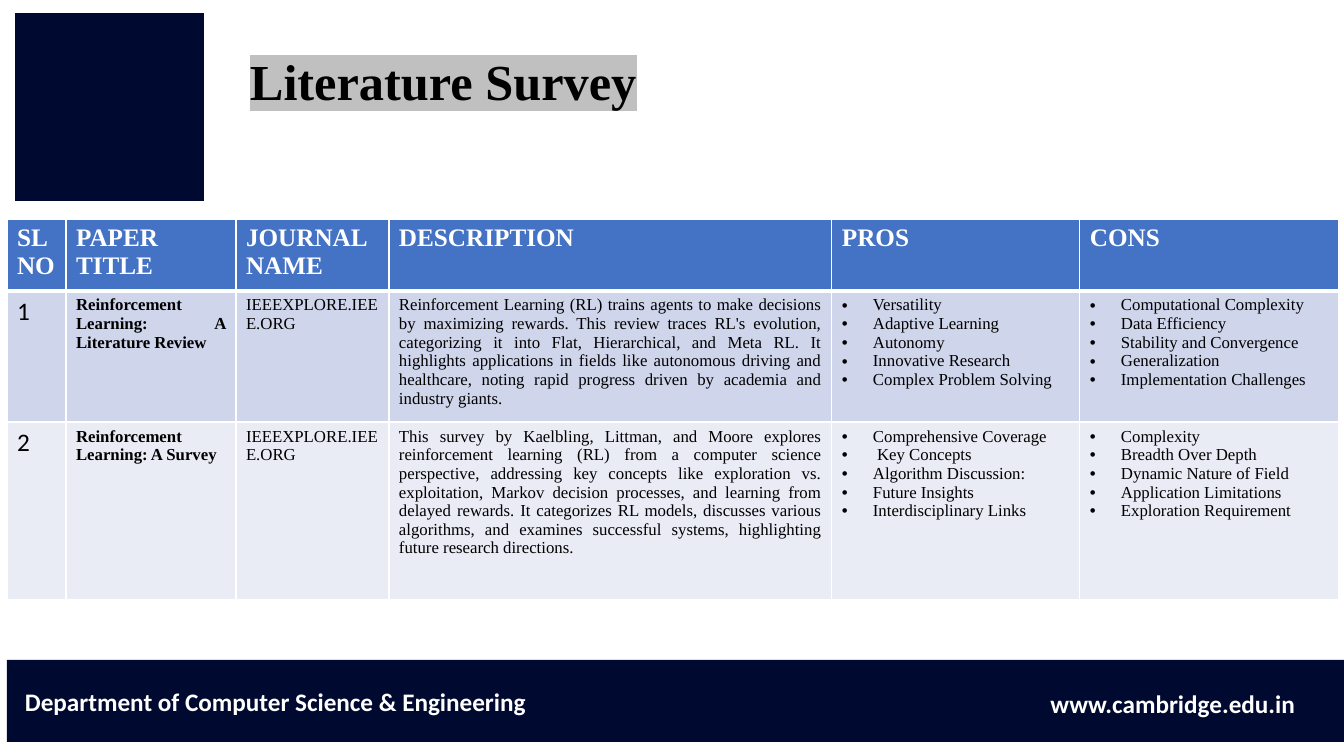
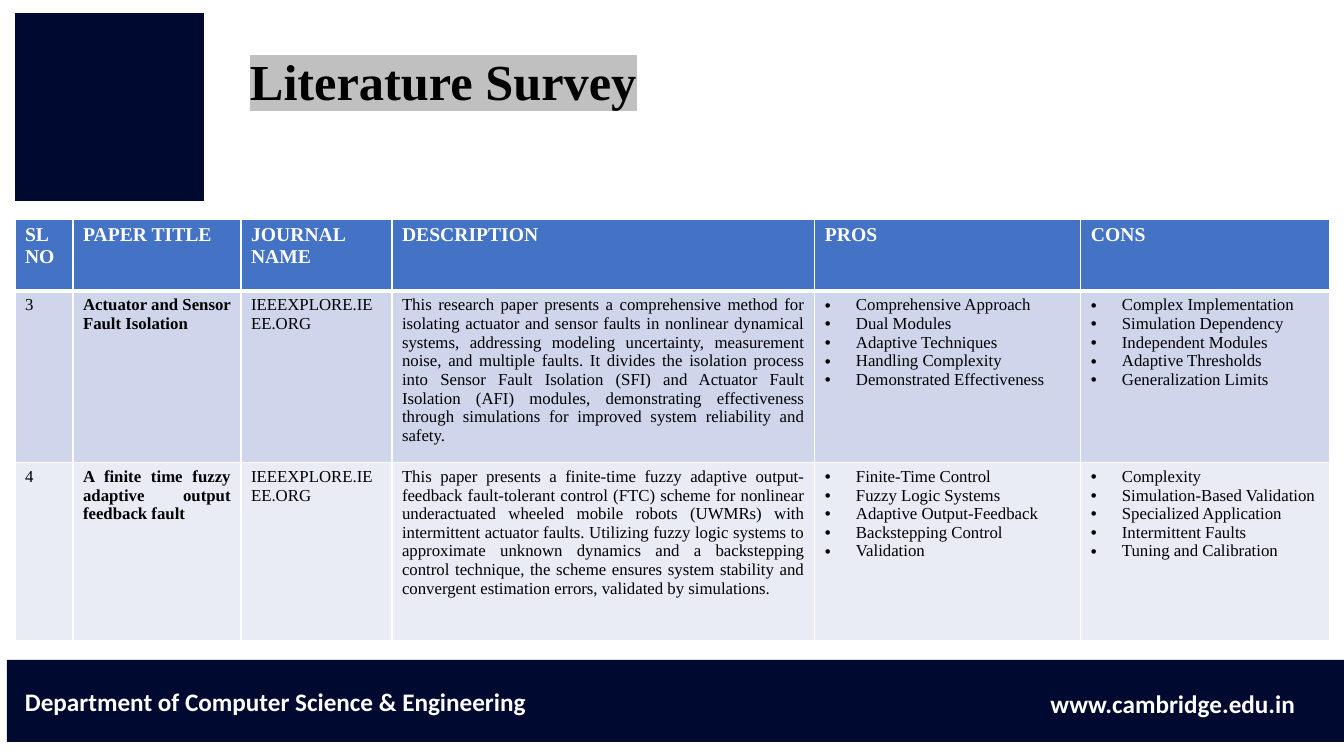
import pptx
import pptx.dml.color
import pptx.enum.shapes
import pptx.enum.text
import pptx.oxml
import pptx.oxml.ns
import pptx.util

RGBColor = pptx.dml.color.RGBColor
ALIGN = pptx.enum.text.PP_ALIGN

NAVY = RGBColor(0x00, 0x0A, 0x30)
BLUE = RGBColor(0x44, 0x72, 0xC4)
WHITE = RGBColor(0xFF, 0xFF, 0xFF)
BLACK = RGBColor(0x00, 0x00, 0x00)
SILVER = RGBColor(0xC0, 0xC0, 0xC0)
ROW_FILLS = [RGBColor(0xCF, 0xD5, 0xEA), RGBColor(0xE9, 0xEB, 0xF5)]

SERIF = "Times New Roman"
SANS = "Calibri"
BODY_SIZE = 12
BULLET_INDENT = 31
TABLE_TOP = 219
HEADERS = ["SL NO", "PAPER TITLE", "JOURNAL NAME", "DESCRIPTION", "PROS", "CONS"]
JOURNAL = "IEEEXPLORE.IEEE.ORG"

SURVEYS = [
    {
        "left": 7,
        "columns": [59, 170, 153, 443, 248, 259],
        "rows": [72, 131, 178],
        "header_size": 18,
        "number_font": (SANS, 18),
        "papers": [
            ("1", "Reinforcement Learning: A Literature Review",
             "Reinforcement Learning (RL) trains agents to make decisions by maximizing rewards. "
             "This review traces RL's evolution, categorizing it into Flat, Hierarchical, and Meta "
             "RL. It highlights applications in fields like autonomous driving and healthcare, "
             "noting rapid progress driven by academia and industry giants.",
             ["Versatility", "Adaptive Learning", "Autonomy", "Innovative Research",
              "Complex Problem Solving"],
             ["Computational Complexity", "Data Efficiency", "Stability and Convergence",
              "Generalization", "Implementation Challenges"]),
            ("2", "Reinforcement Learning: A Survey",
             "This survey by Kaelbling, Littman, and Moore explores reinforcement learning (RL) "
             "from a computer science perspective, addressing key concepts like exploration vs. "
             "exploitation, Markov decision processes, and learning from delayed rewards. It "
             "categorizes RL models, discusses various algorithms, and examines successful "
             "systems, highlighting future research directions.",
             ["Comprehensive Coverage", " Key Concepts", "Algorithm Discussion:",
              "Future Insights", "Interdisciplinary Links"],
             ["Complexity", "Breadth Over Depth", "Dynamic Nature of Field",
              "Application Limitations", "Exploration Requirement"]),
        ],
    },
    {
        "left": 15,
        "columns": [58, 168, 151, 423, 266, 249],
        "rows": [72, 171, 178],
        "header_size": 14,
        "number_font": (SERIF, BODY_SIZE),
        "papers": [
            ("3", "Actuator and Sensor Fault Isolation",
             "This research paper presents a comprehensive method for isolating actuator and "
             "sensor faults in nonlinear dynamical systems, addressing modeling uncertainty, "
             "measurement noise, and multiple faults. It divides the isolation process into "
             "Sensor Fault Isolation (SFI) and Actuator Fault Isolation (AFI) modules, "
             "demonstrating effectiveness through simulations for improved system reliability "
             "and safety.",
             ["Comprehensive Approach", "Dual Modules", "Adaptive Techniques",
              "Handling Complexity", "Demonstrated Effectiveness"],
             ["Complex Implementation", "Simulation Dependency", "Independent Modules",
              "Adaptive Thresholds", "Generalization Limits"]),
            ("4", "A finite time fuzzy adaptive output feedback fault",
             "This paper presents a finite-time fuzzy adaptive output-feedback fault-tolerant "
             "control (FTC) scheme for nonlinear underactuated wheeled mobile robots (UWMRs) "
             "with intermittent actuator faults. Utilizing fuzzy logic systems to approximate "
             "unknown dynamics and a backstepping control technique, the scheme ensures system "
             "stability and convergent estimation errors, validated by simulations.",
             ["Finite-Time Control", "Fuzzy Logic Systems", "Adaptive Output-Feedback",
              "Backstepping Control", "Validation"],
             ["Complexity", "Simulation-Based Validation", "Specialized Application",
              "Intermittent Faults", "Tuning and Calibration"]),
        ],
    },
]


def px(length):
    return pptx.util.Emu(round(length * 914400 / 100.8))


def set_font(font, name, size, color, bold=False):
    font.name = name
    font.size = pptx.util.Pt(size)
    font.bold = bold
    font.color.rgb = color


def add_xml(parent, xml):
    element = pptx.oxml.parse_xml(xml.replace(" ", f" {pptx.oxml.ns.nsdecls('a')} ", 1))
    parent.append(element)
    return element


def add_band(slide, left, top, width, height):
    band = slide.shapes.add_shape(pptx.enum.shapes.MSO_SHAPE.RECTANGLE,
                                  px(left), px(top), px(width), px(height))
    band.shadow.inherit = False
    band.fill.solid()
    band.fill.fore_color.rgb = NAVY
    band.line.fill.background()


def add_text(slide, text, left, top, width, height, align=ALIGN.LEFT):
    box = slide.shapes.add_textbox(px(left), px(top), px(width), px(height))
    frame = box.text_frame
    frame.word_wrap = True
    frame.auto_size = pptx.enum.text.MSO_AUTO_SIZE.SHAPE_TO_FIT_TEXT
    paragraph = frame.paragraphs[0]
    paragraph.text = text
    paragraph.alignment = align
    return paragraph


def add_title(slide, text):
    paragraph = add_text(slide, text, 240, 45, 672, 72)
    run = paragraph.runs[0]
    set_font(run.font, SERIF, 36, BLACK, bold=True)
    properties = run.font.fill._xPr
    highlight = add_xml(properties, f'<a:highlight ><a:srgbClr val="{SILVER}"/></a:highlight>')
    # The highlight belongs right after the text fill
    properties.find(pptx.oxml.ns.qn("a:solidFill")).addnext(highlight)


def add_frame(slide):
    # Emblem block and footer band
    add_band(slide, 15, 13, 189, 188)
    add_band(slide, 7, 660, 1337, 82)
    for text, left, top, width, align in [
        ("Department of Computer Science & Engineering", 15, 681, 533, ALIGN.LEFT),
        ("www.cambridge.edu.in", 1024, 683, 281, ALIGN.RIGHT),
    ]:
        paragraph = add_text(slide, text, left, top, width, 40, align)
        set_font(paragraph.font, SANS, 18, WHITE, bold=True)


def style_cell(cell, fill, top=1, bottom=1):
    properties = cell._tc.get_or_add_tcPr()
    for side, points in [("L", 1), ("R", 1), ("T", top), ("B", bottom)]:
        add_xml(properties, f'<a:ln{side} w="{points * 12700}"><a:solidFill>'
                            f'<a:srgbClr val="{WHITE}"/></a:solidFill></a:ln{side}>')
    cell.fill.solid()
    cell.fill.fore_color.rgb = fill


def fill_cell(cell, lines, name=SERIF, size=BODY_SIZE, color=BLACK, bold=False,
              align=ALIGN.LEFT, bulleted=False):
    cell.text_frame.text = "\n".join(lines)
    for paragraph in cell.text_frame.paragraphs:
        paragraph.alignment = align
        if bulleted:
            properties = paragraph._p.get_or_add_pPr()
            properties.set("marL", str(px(BULLET_INDENT)))
            properties.set("indent", str(-px(BULLET_INDENT)))
            add_xml(properties, '<a:buFont typeface="Arial"/>')
            add_xml(properties, '<a:buChar char="•"/>')
        set_font(paragraph.font, name, size, color, bold)


def add_survey_table(slide, survey):
    columns, rows = survey["columns"], survey["rows"]
    table = slide.shapes.add_table(len(rows), len(columns), px(survey["left"]), px(TABLE_TOP),
                                   px(sum(columns)), px(sum(rows))).table
    for column, width in zip(table.columns, columns):
        column.width = px(width)
    for row, height in zip(table.rows, rows):
        row.height = px(height)

    # Header row
    for cell, header in zip(table.rows[0].cells, HEADERS):
        style_cell(cell, BLUE, bottom=3)
        fill_cell(cell, [header], size=survey["header_size"], color=WHITE, bold=True,
                  align=ALIGN.JUSTIFY)

    # One row for each paper
    number_name, number_size = survey["number_font"]
    for index, paper in enumerate(survey["papers"]):
        number, title, description, pros, cons = paper
        cells = list(table.rows[index + 1].cells)
        for cell in cells:
            style_cell(cell, ROW_FILLS[index], top=1 if index else 3)
        fill_cell(cells[0], [number], number_name, number_size)
        fill_cell(cells[1], [title], bold=True, align=ALIGN.JUSTIFY)
        fill_cell(cells[2], [JOURNAL])
        fill_cell(cells[3], [description], align=ALIGN.JUSTIFY)
        fill_cell(cells[4], pros, bulleted=True)
        fill_cell(cells[5], cons, bulleted=True)


def main():
    presentation = pptx.Presentation()
    presentation.slide_width = px(1344)
    presentation.slide_height = px(756)
    for survey in SURVEYS:
        slide = presentation.slides.add_slide(presentation.slide_layouts[6])
        add_frame(slide)
        add_title(slide, "Literature Survey")
        add_survey_table(slide, survey)
    presentation.save("out.pptx")


if __name__ == "__main__":
    main()
